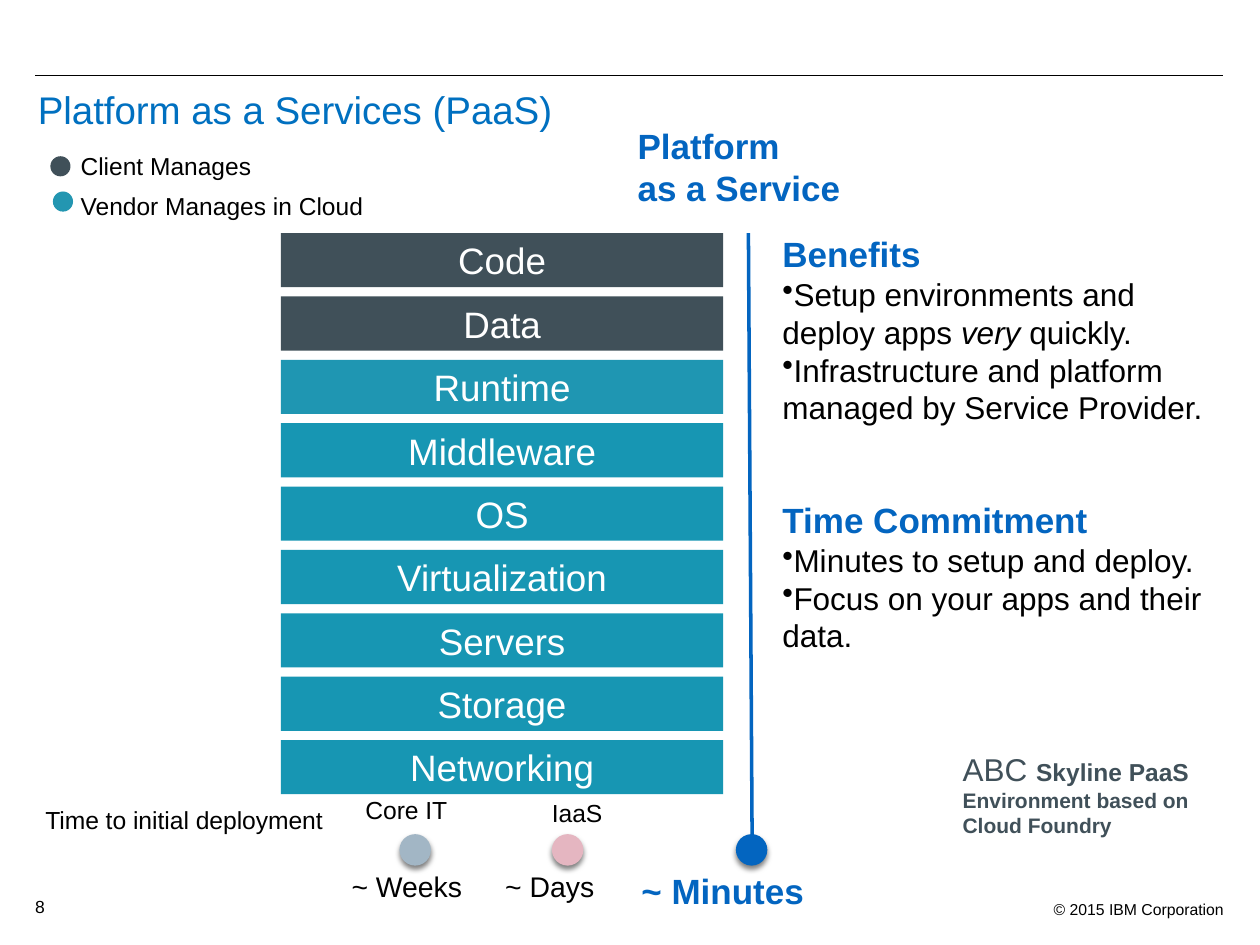
from lxml.etree import SubElement
from pptx import Presentation
from pptx.dml.color import RGBColor
from pptx.enum.shapes import MSO_CONNECTOR, MSO_SHAPE
from pptx.enum.text import MSO_ANCHOR, PP_ALIGN
from pptx.oxml.ns import qn
from pptx.util import Inches, Pt

WIDTH, HEIGHT = Inches(10), Inches(7.5)
COLUMNS, ROWS = 100, 75
FONT = "Arial"
BLACK, WHITE, SLATE, BLUE = "000000", "FFFFFF", "405059", "0365C0"
TEAL, TITLE_BLUE = "1796B3", "0070C0"

LAYERS = [
    ("Code", SLATE), ("Data", SLATE), ("Runtime", "1F96B2"),
    ("Middleware", TEAL), ("OS", TEAL), ("Virtualization", TEAL),
    ("Servers", TEAL), ("Storage", TEAL), ("Networking", TEAL),
]
LAYER_LEFT, LAYER_TOP, LAYER_WIDTH, LAYER_HEIGHT = 22.3, 18.5, 35.1, 4.3
LAYER_PITCH = 5.03

# label, left, top, dot left, dot top, dot colour
LEGEND = [
    ("Client Manages", 10.3, 5.7, 4, 12.4, SLATE),
    ("Vendor Manages in Cloud", 13.9, 4.9, 4.2, 15.2, "2396B1"),
]
DOT_TOP, DOT_SIZE = 66.2, 2.5
TIMELINE_DOTS = [(31.7, "A2B6C5"), (43.8, "E5B6C1"), (58.4, BLUE)]

BENEFITS = [
    [("Setup environments and deploy apps ", {}), ("very ", {"italic": True}), ("quickly.", {})],
    [("Infrastructure and platform managed by Service Provider.", {})],
]
COMMITMENTS = [
    [("Minutes to setup and deploy.", {})],
    [("Focus on your apps and their data.", {})],
]


def color(hex_value):
    return RGBColor.from_string(hex_value)


def across(columns):
    return round(WIDTH * columns / COLUMNS)


def down(rows):
    return round(HEIGHT * rows / ROWS)


def place(left, top, width, height):
    return across(left), down(top), across(width), down(height)


def style(font, size, hex_value, bold=False):
    font.name, font.size, font.bold = FONT, Pt(size), bold
    font.color.rgb = color(hex_value)


def set_frame(frame, anchor, inset=0):
    frame.word_wrap = True
    frame.vertical_anchor = anchor
    frame.margin_left = frame.margin_right = Inches(inset)
    frame.margin_top = frame.margin_bottom = Inches(inset)


def add_text(page, area, text, size, hex_value=BLACK, bold=False,
             anchor=MSO_ANCHOR.TOP, inset=0, align=PP_ALIGN.LEFT):
    frame = page.shapes.add_textbox(*place(*area)).text_frame
    set_frame(frame, anchor, inset)
    para = frame.paragraphs[0]
    para.text = text
    para.alignment = align
    style(para.font, size, hex_value, bold)
    return frame


def add_solid(page, kind, area, fill):
    shape = page.shapes.add_shape(kind, *place(*area))
    shape.shadow.inherit = False
    shape.fill.solid()
    shape.fill.fore_color.rgb = color(fill)
    shape.line.fill.background()
    return shape


def add_layer(page, area, name, fill):
    box = add_solid(page, MSO_SHAPE.RECTANGLE, area, fill)
    set_frame(box.text_frame, MSO_ANCHOR.MIDDLE)
    para = box.text_frame.paragraphs[0]
    para.text = name
    para.alignment = PP_ALIGN.CENTER
    style(para.font, 21, WHITE)


def add_timeline_dot(page, left, fill):
    """Draw a dot that casts a soft shadow straight down."""
    dot = add_solid(page, MSO_SHAPE.OVAL, (left, DOT_TOP, DOT_SIZE, DOT_SIZE), fill)
    effects = dot._element.spPr.find(qn("a:effectLst"))
    shadow = SubElement(effects, qn("a:outerShdw"), blurRad=str(Pt(3)),
                        dist=str(Pt(2)), dir="5400000", rotWithShape="0")
    tint = SubElement(shadow, qn("a:srgbClr"), val=BLACK)
    SubElement(tint, qn("a:alpha"), val="50000")


def add_line(page, start, end, hex_value, weight):
    line = page.shapes.add_connector(
        MSO_CONNECTOR.STRAIGHT, across(start[0]), down(start[1]), across(end[0]), down(end[1]))
    line.line.color.rgb = color(hex_value)
    line.line.width = Pt(weight)
    SubElement(line._element.spPr, qn("a:effectLst"))


def add_spans(para, spans):
    for text, emphasis in spans:
        span = para.add_run()
        span.text = text
        for name, value in emphasis.items():
            setattr(span.font, name, value)


def add_bullet_list(page, area, heading, items):
    frame = add_text(page, area, heading, 20, BLUE, True, MSO_ANCHOR.MIDDLE)
    for spans in items:
        para = frame.add_paragraph()
        properties = para._p.get_or_add_pPr()
        properties.set("marL", "0")
        properties.set("indent", "0")
        SubElement(properties, qn("a:buChar"), char="•")
        style(para.font, 18, BLACK)
        add_spans(para, spans)


def add_product(page, area):
    frame = add_text(page, area, "", 12, SLATE, True, MSO_ANCHOR.MIDDLE, 0.06)
    para = frame.paragraphs[0]
    add_spans(para, [("ABC ", {"size": Pt(18), "bold": False}),
                     ("Skyline PaaS", {"size": Pt(14)})])
    para.add_line_break()
    add_spans(para, [("Environment based on Cloud Foundry", {})])


def add_timeline(page):
    add_line(page, (59.4, 18.5), (59.7, 67.4), BLUE, 2)
    for left, fill in TIMELINE_DOTS:
        add_timeline_dot(page, left, fill)
    add_text(page, (3.6, 63.9, 25.1, 5.6), "Time to initial deployment", 14.1)
    for name, area in [("Core IT", (28.6, 60.5, 12.8, 7.5)), ("IaaS", (43.4, 62.3, 7.4, 4.4))]:
        add_text(page, area, name, 14.1, anchor=MSO_ANCHOR.MIDDLE, inset=0.04)
    add_text(page, (27.9, 69, 17.7, 5.6), "~ Weeks", 16.2)
    add_text(page, (40.1, 69, 10.7, 5.6), "~ Days", 16.2)
    add_text(page, (50.9, 69, 20.8, 4.7), "~ Minutes", 20, BLUE, True)


def main():
    deck = Presentation()
    deck.slide_width, deck.slide_height = WIDTH, HEIGHT
    page = deck.slides.add_slide(deck.slide_layouts[6])

    add_line(page, (2.8, 6), (97.1, 6), BLACK, 0.75)
    add_text(page, (3, 6.8, 93.4, 3.6), "Platform as a Services (PaaS)", 22, TITLE_BLUE)
    add_text(page, (64.7, 70.9, 33.4, 2.5), "© 2015 IBM Corporation", 9,
             inset=0.1, align=PP_ALIGN.RIGHT, anchor=MSO_ANCHOR.MIDDLE)
    add_text(page, (2.8, 71.1, 5, 1.7), "8", 10)

    add_timeline(page)
    for name, top, height, dot_left, dot_top, fill in LEGEND:
        add_text(page, (6.4, top, 25, height), name, 14, anchor=MSO_ANCHOR.MIDDLE)
        add_solid(page, MSO_SHAPE.OVAL, (dot_left, dot_top, 1.6, 1.6), fill)
    for row, (name, fill) in enumerate(LAYERS):
        top = LAYER_TOP + row * LAYER_PITCH
        add_layer(page, (LAYER_LEFT, top, LAYER_WIDTH, LAYER_HEIGHT), name, fill)

    add_text(page, (50, 9.3, 21.8, 7.8), "Platform\vas a Service", 20, BLUE, True,
             MSO_ANCHOR.MIDDLE, 0.06)
    add_bullet_list(page, (62.1, 16.9, 34.3, 18.5), "Benefits", BENEFITS)
    add_bullet_list(page, (62.1, 38.7, 34.3, 14.1), "Time Commitment", COMMITMENTS)
    add_product(page, (75.8, 58.9, 21.9, 8.2))
    deck.save("out.pptx")


if __name__ == "__main__":
    main()
